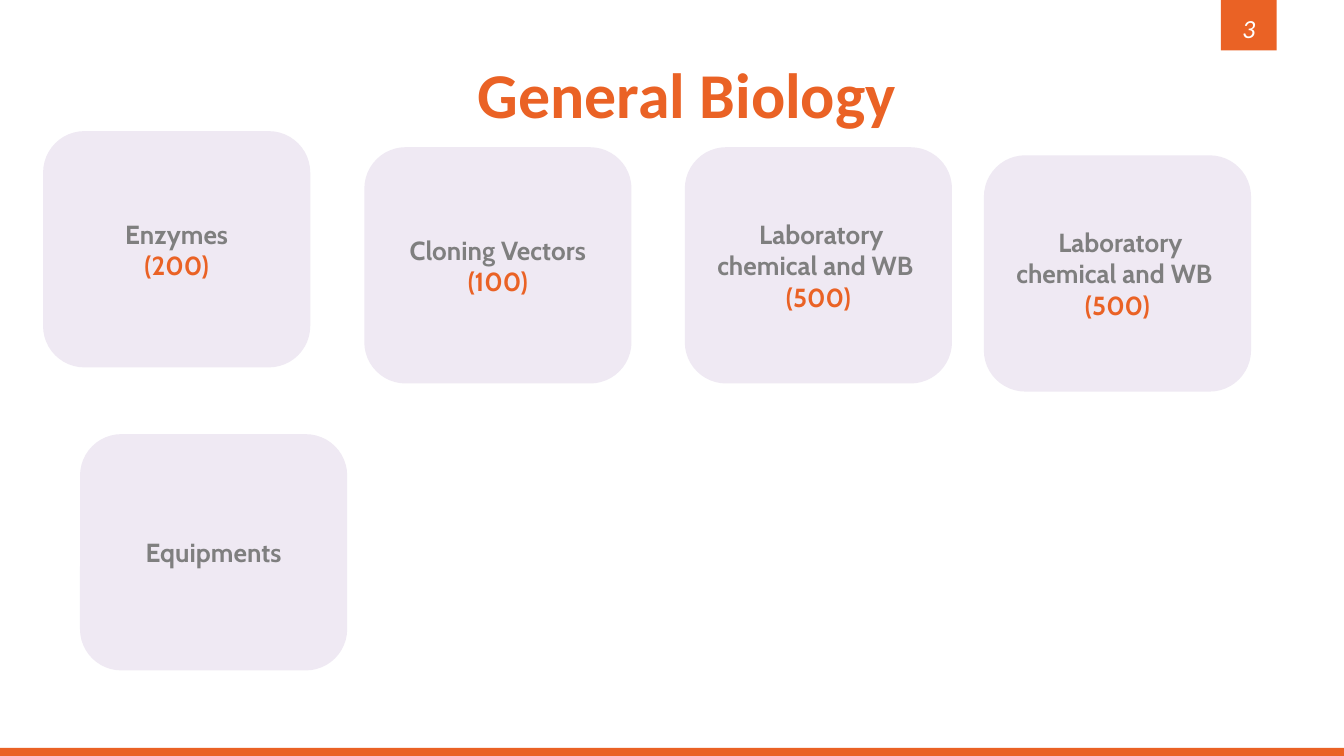
import pptx
import pptx.dml.color
import pptx.enum.shapes
import pptx.enum.text
import pptx.util

PX = 4572  # EMU per px, 200 px to the inch
WIDTH, HEIGHT = 2000, 1125
CARD_WIDTH, CARD_HEIGHT = 392, 346
BAR_HEIGHT = 12

ORANGE = pptx.dml.color.RGBColor(0xEA, 0x62, 0x25)
LILAC = pptx.dml.color.RGBColor(0xEF, 0xE9, 0xF3)
GREY = pptx.dml.color.RGBColor(0x7F, 0x7F, 0x7F)
WHITE = pptx.dml.color.RGBColor(0xFF, 0xFF, 0xFF)

SHAPES = pptx.enum.shapes.MSO_SHAPE

# Left, top, label and count of each product group
CARDS = [
    (67, 198, " Enzymes ", "(200)"),
    (1022, 222, " Laboratory chemical and WB ", "(500)"),
    (545, 222, " Cloning Vectors ", "(100)"),
    (1467, 234, " Laboratory chemical and WB ", "(500)"),
    (122, 649, "Equipments", None),
]


def scaled(box):
    return [pptx.util.Emu(length * PX) for length in box]


def add_block(page, kind, box, color):
    block = page.shapes.add_shape(kind, *scaled(box))
    block.shadow.inherit = False
    block.fill.solid()
    block.fill.fore_color.rgb = color
    block.line.fill.background()
    return block


def set_frame(shape):
    frame = shape.text_frame
    frame.word_wrap = True
    frame.auto_size = pptx.enum.text.MSO_AUTO_SIZE.NONE
    frame.vertical_anchor = pptx.enum.text.MSO_ANCHOR.MIDDLE
    frame.margin_left = frame.margin_right = pptx.util.Inches(0.1)
    frame.margin_top = frame.margin_bottom = pptx.util.Inches(0.05)
    return frame


def write(para, text, font, size, color, bold=False, italic=False):
    para.alignment = pptx.enum.text.PP_ALIGN.CENTER
    span = para.add_run()
    span.text = text
    span.font.name = font
    span.font.size = pptx.util.Pt(size)
    span.font.color.rgb = color
    span.font.bold = bold
    span.font.italic = italic


def add_page_number(page, box, number):
    left, top, width, height = box
    add_block(page, SHAPES.RECTANGLE, box, ORANGE)
    label = page.shapes.add_textbox(*scaled((left, top + 12, width, 60)))
    write(set_frame(label).paragraphs[0], number, "Calibri", 14, WHITE, italic=True)


def add_title(page, box, text):
    title = page.shapes.title
    title.left, title.top, title.width, title.height = scaled(box)
    write(set_frame(title).paragraphs[0], text, "Calibri", 34.2, ORANGE, bold=True)


def add_card(page, box, label, count):
    card = add_block(page, SHAPES.ROUNDED_RECTANGLE, box, LILAC)
    card.adjustments[0] = 0.17
    card.line.color.rgb = LILAC
    card.line.width = pptx.util.Pt(2)
    frame = set_frame(card)
    write(frame.paragraphs[0], label, "Cabin", 14, GREY, bold=True)
    if count:
        write(frame.add_paragraph(), count, "Cabin", 14, ORANGE, bold=True)


def main():
    deck = pptx.Presentation()
    deck.slide_width, deck.slide_height = scaled((WIDTH, HEIGHT))
    page = deck.slides.add_slide(deck.slide_layouts[5])

    # Footer bar and page number
    bar = (0, HEIGHT - BAR_HEIGHT, WIDTH, BAR_HEIGHT)
    add_block(page, SHAPES.RECTANGLE, bar, ORANGE)
    add_page_number(page, (1817, 0, 83, 75), "3")

    # Title and product groups
    add_title(page, (122, 78, 1800, 120), "General Biology")
    for left, top, label, count in CARDS:
        add_card(page, (left, top, CARD_WIDTH, CARD_HEIGHT), label, count)

    deck.save("out.pptx")


if __name__ == "__main__":
    main()
